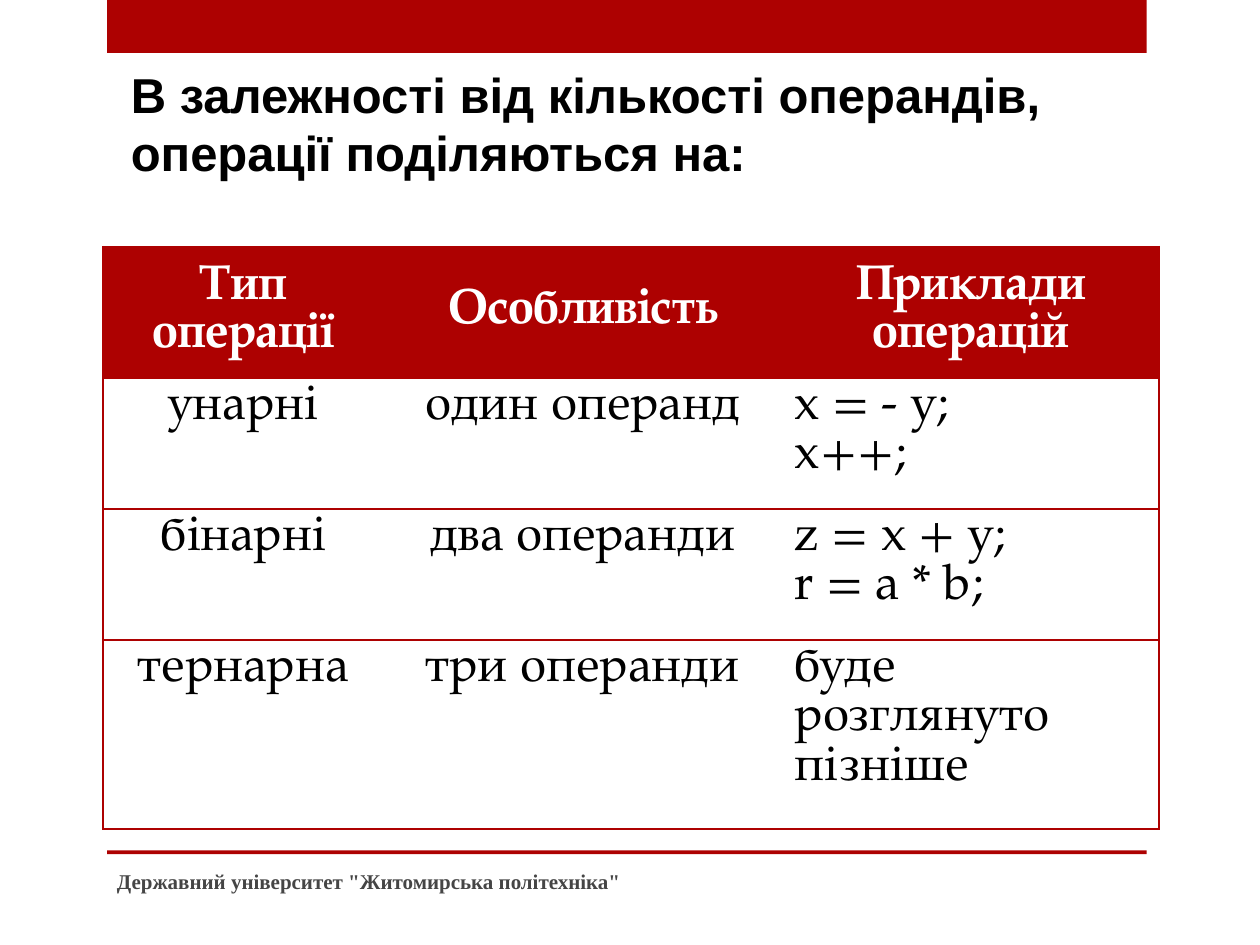
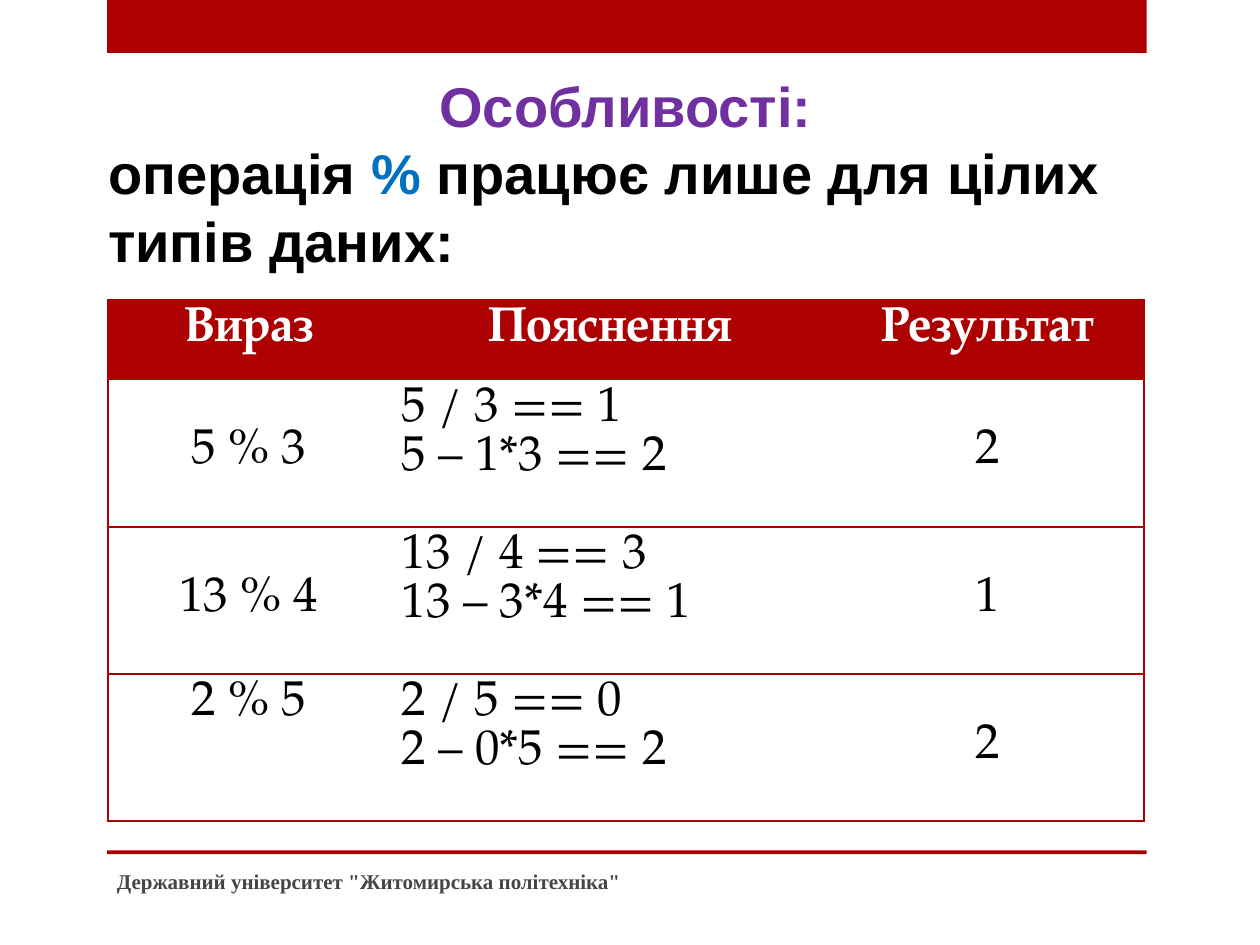
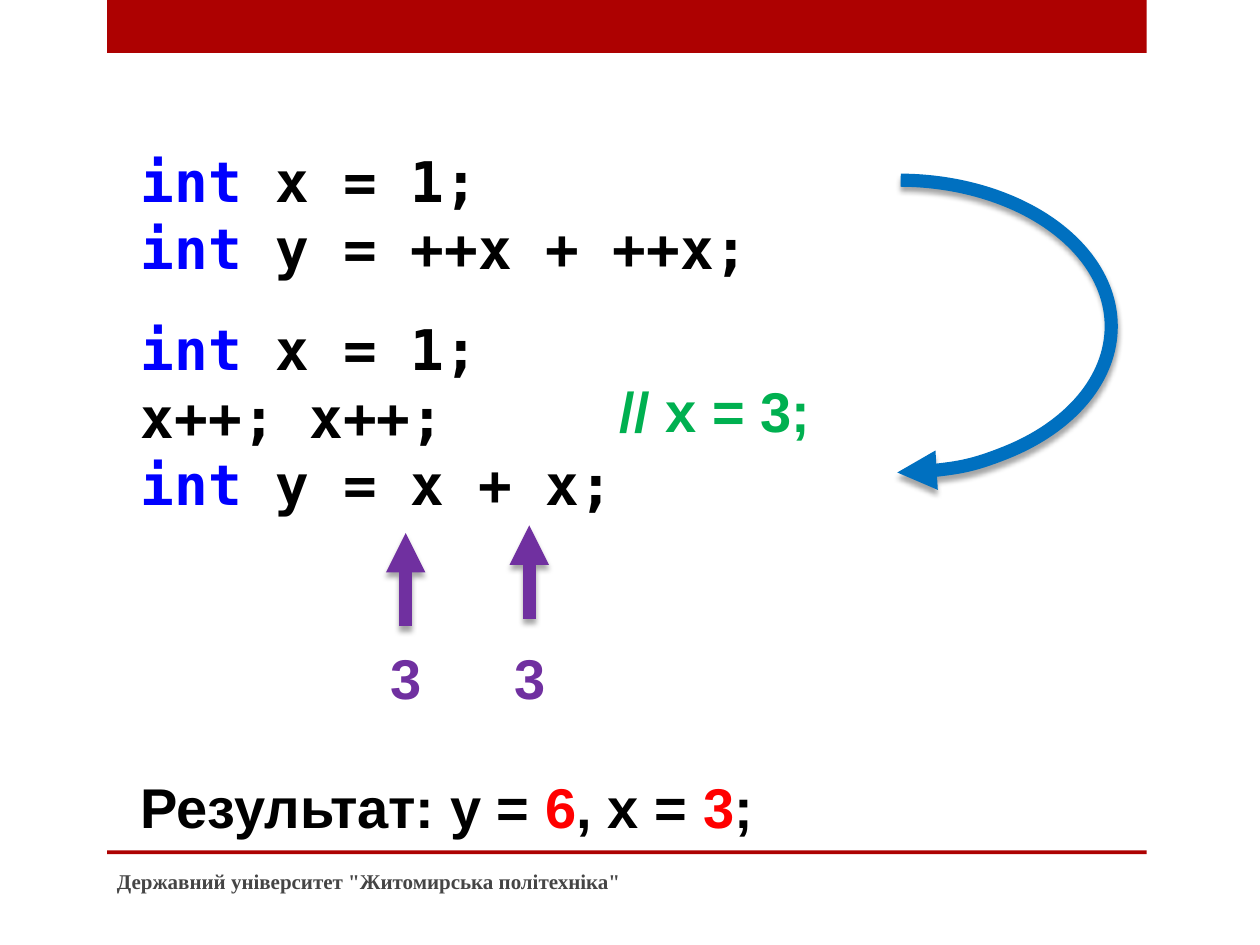
from dataclasses import dataclass
from typing import NamedTuple, Optional, Sequence

import pptx
import pptx.dml.color
import pptx.enum.dml
import pptx.enum.shapes
import pptx.enum.text
import pptx.oxml
import pptx.oxml.ns
import pptx.util
from lxml import etree
from pptx.util import Inches

ALIGN = pptx.enum.text.PP_ALIGN
ANCHOR = pptx.enum.text.MSO_ANCHOR
SHAPE = pptx.enum.shapes.MSO_SHAPE


@dataclass(frozen=True)
class Theme:
    red: str = "AD0101"
    black: str = "000000"
    white: str = "FFFFFF"
    grey: str = "454545"
    purple: str = "7030A0"
    blue: str = "0070C0"
    green: str = "00B050"
    keyword: str = "0000FF"
    answer: str = "FF0000"
    sans: str = "Arial"
    mono: str = "DejaVu Sans Mono"
    table_font: str = "TeX Gyre Pagella"
    footer_font: str = "Times New Roman"
    footer_size: float = 12
    medium_size: float = 28
    large_size: float = 32
    border: float = 1.25
    arrow: float = 7.5


THEME = Theme()


class Area(NamedTuple):
    left: float
    top: float
    width: float
    height: float


class Span(NamedTuple):
    text: str
    color: str = THEME.black


class Style(NamedTuple):
    font: str
    size: float
    bold: bool = True


class Line(NamedTuple):
    spans: Sequence[Span]
    align: Optional[int] = None
    spacing: Optional[float] = None


class Cell(NamedTuple):
    lines: Sequence[str]
    centered: bool = True
    middle: bool = False


class TableSpec(NamedTuple):
    left: float
    top: float
    columns: Sequence[float]
    heights: Sequence[float]
    rows: Sequence[Sequence[Cell]]


TITLE = Style(THEME.sans, THEME.medium_size)
LARGE = Style(THEME.sans, THEME.large_size)
CODE = Style(THEME.mono, THEME.large_size)
FOOTER = Style(THEME.footer_font, THEME.footer_size)
TABLE_HEAD = Style(THEME.table_font, THEME.medium_size)
TABLE_BODY = TABLE_HEAD._replace(bold=False)


def rgb(color: str) -> pptx.dml.color.RGBColor:
    return pptx.dml.color.RGBColor.from_string(color)


def inches(area: Area) -> list:
    return [Inches(length) for length in area]


def write(frame, lines: Sequence[Line], style: Style) -> None:
    for index, line in enumerate(lines):
        para = frame.paragraphs[0] if index == 0 else frame.add_paragraph()
        para.alignment = line.align
        para.line_spacing = line.spacing
        for span in line.spans:
            run = para.add_run()
            run.text = span.text
            run.font.name = style.font
            run.font.size = pptx.util.Pt(style.size)
            run.font.bold = style.bold
            run.font.color.rgb = rgb(span.color)


def add_text(page, area: Area, lines: Sequence[Line], style: Style, wrap: bool = True,
             fill: Optional[str] = None, anchor=ANCHOR.TOP) -> None:
    box = page.shapes.add_textbox(*inches(area))
    if fill:
        box.fill.solid()
        box.fill.fore_color.rgb = rgb(fill)
    box.text_frame.word_wrap = wrap
    box.text_frame.vertical_anchor = anchor
    write(box.text_frame, lines, style)


def add_band(page, area: Area) -> None:
    band = page.shapes.add_shape(SHAPE.RECTANGLE, *inches(area))
    band.shadow.inherit = False
    band.fill.solid()
    band.fill.fore_color.rgb = rgb(THEME.red)
    band.line.fill.background()


def add_page(deck):
    """Add a blank slide with the shared red bands."""
    page = deck.slides.add_slide(deck.slide_layouts[6])
    add_band(page, Area(0.85, 0, 8.25, 0.42))
    add_band(page, Area(0.85, 6.75, 8.25, 0.03))
    return page


def add_footer(page) -> None:
    name = Span('Державний університет "Житомирська політехніка"', THEME.grey)
    add_text(page, Area(0.83, 6.79, 5.33, 0.4), [Line([name])], FOOTER, anchor=ANCHOR.MIDDLE)


def set_border(cell, side: str, shown: bool) -> None:
    qn = pptx.oxml.ns.qn
    width = pptx.util.Pt(THEME.border)
    border = etree.SubElement(cell._tc.get_or_add_tcPr(), qn(f"a:ln{side}"), w=str(width))
    paint = etree.SubElement(border, qn("a:solidFill" if shown else "a:noFill"))
    if shown:
        etree.SubElement(paint, qn("a:srgbClr"), val=THEME.red)


def add_grid(page, spec: TableSpec) -> None:
    """Add a table with a red header and horizontal rules inside a red frame."""
    area = Area(spec.left, spec.top, sum(spec.columns), sum(spec.heights))
    table = page.shapes.add_table(len(spec.rows), len(spec.columns), *inches(area)).table
    table.first_row = table.horz_banding = False
    for column, width in zip(table.columns, spec.columns):
        column.width = Inches(width)
    for row, height in zip(table.rows, spec.heights):
        row.height = Inches(height)
    last = len(spec.columns) - 1
    for row_index, row in enumerate(spec.rows):
        header = row_index == 0
        for column_index, content in enumerate(row):
            cell = table.cell(row_index, column_index)
            set_border(cell, "L", column_index == 0)
            set_border(cell, "R", column_index == last)
            set_border(cell, "T", True)
            set_border(cell, "B", True)
            if header:
                cell.fill.solid()
                cell.fill.fore_color.rgb = rgb(THEME.red)
            else:
                cell.fill.background()
            cell.vertical_anchor = ANCHOR.MIDDLE if content.middle else ANCHOR.TOP
            color = THEME.white if header else THEME.black
            align = ALIGN.CENTER if content.centered else ALIGN.LEFT
            lines = [Line([Span(text, color)], align) for text in content.lines]
            write(cell.text_frame, lines, TABLE_HEAD if header else TABLE_BODY)


def style_arrow(shape, color: str) -> None:
    """Give a thick line an arrowhead at its end and a soft shadow below."""
    shape.line.color.rgb = rgb(color)
    shape.line.width = pptx.util.Pt(THEME.arrow)
    outline = shape.line._get_or_add_ln()
    etree.SubElement(outline, pptx.oxml.ns.qn("a:tailEnd"), type="triangle")
    offset = pptx.util.Pt(3)
    shape._element.spPr.append(pptx.oxml.parse_xml(
        f'<a:effectLst {pptx.oxml.ns.nsdecls("a")}>'
        f'<a:outerShdw blurRad="{offset}" dist="{offset}" dir="5400000" rotWithShape="0">'
        f'<a:srgbClr val="{THEME.black}"><a:alpha val="35000"/></a:srgbClr>'
        '</a:outerShdw></a:effectLst>'))


def add_up_arrow(page, x: float, bottom: float, top: float) -> None:
    arrow = page.shapes.add_connector(
        pptx.enum.shapes.MSO_CONNECTOR.STRAIGHT,
        Inches(x), Inches(bottom), Inches(x), Inches(top))
    style_arrow(arrow, THEME.purple)


def add_return_arc(page) -> None:
    arc = page.shapes.add_shape(SHAPE.ARC, *inches(Area(5.45, 1.43, 3.37, 2.32)))
    for index, degrees in enumerate((270.7, 90.65)):
        arc.adjustments[index] = degrees * 0.6
    arc.fill.background()
    style_arrow(arc, THEME.blue)


def add_label(page, area: Area, text: str, color: str) -> None:
    line = Line([Span(text, color)], ALIGN.CENTER, 0.8)
    add_text(page, area, [line], LARGE, wrap=False, fill=THEME.white)


def declaration(rest: str) -> Line:
    return Line([Span("int", THEME.keyword), Span(rest)])


def build_operand_page(deck) -> None:
    page = add_page(deck)
    title = ("В залежності від кількості операндів,", "операції поділяються на:")
    add_text(page, Area(0.94, 0.46, 7.61, 1.65), [Line([Span(text)]) for text in title],
             TITLE, wrap=False)
    heads = ("Тип операції", "Особливість", "Приклади операцій")
    kinds = (
        ("унарні", "один операнд", ("x = - y;", "x++;")),
        ("бінарні", "два операнди", ("z = x + y;", "r = a * b;")),
        ("тернарна", "три операнди", ("буде розглянуто пізніше",)),
    )
    rows = [[Cell([head], middle=True) for head in heads]]
    rows += [[Cell([kind]), Cell([feature]), Cell(examples, centered=False)]
             for kind, feature, examples in kinds]
    add_grid(page, TableSpec(0.82, 1.96, (2.22, 3.17, 2.99), (1.04, 1.04, 1.04, 1.5), rows))
    add_footer(page)


def build_remainder_page(deck) -> None:
    page = add_page(deck)
    add_text(page, Area(0.76, 0.52, 8.41, 1.72), [
        Line([Span("Особливості:", THEME.purple)], ALIGN.CENTER),
        Line([Span("операція "), Span("%", THEME.blue),
              Span(" працює лише для цілих типів даних:")]),
    ], LARGE)
    examples = (
        (Cell(["5 % 3"], middle=True), ("5 / 3 == 1", "5 – 1*3 == 2"), "2"),
        (Cell(["13 % 4"], middle=True), ("13 / 4 == 3", "13 – 3*4 == 1"), "1"),
        (Cell(["2 % 5"]), ("2 / 5 == 0", "2 – 0*5 == 2"), "2"),
    )
    rows = [[Cell([head]) for head in ("Вираз", "Пояснення", "Результат")]]
    rows += [[expression, Cell(steps, centered=False), Cell([result], middle=True)]
             for expression, steps, result in examples]
    add_grid(page, TableSpec(0.86, 2.38, (2.23, 3.51, 2.48), (0.63, 1.17, 1.17, 1.17), rows))
    add_footer(page)


def build_increment_page(deck) -> None:
    page = add_page(deck)
    add_text(page, Area(1.02, 1.11, 6.13, 1.18),
             [declaration(" x = 1;"), declaration(" y = ++x + ++x;")], CODE, fill=THEME.white)
    add_text(page, Area(1.02, 2.45, 6.13, 1.72),
             [declaration(" x = 1;"), Line([Span("x++; x++;")]), declaration(" y = x + x;")],
             CODE, fill=THEME.white)
    add_return_arc(page)
    for x, bottom, top in ((4.2, 4.91, 4.17), (3.22, 4.97, 4.23)):
        add_label(page, Area(x - 0.22, 5.16, 0.45, 0.53), "3", THEME.purple)
        add_up_arrow(page, x, bottom, top)
    add_label(page, Area(4.81, 3.04, 1.73, 0.53), "// x = 3;", THEME.green)
    result = [Span("Результат: y = "), Span("6", THEME.answer), Span(", x = "),
              Span("3", THEME.answer), Span(";")]
    add_text(page, Area(1.02, 6.08, 6.13, 0.64), [Line(result)], LARGE)
    add_footer(page)


def main() -> None:
    deck = pptx.Presentation()
    deck.slide_width, deck.slide_height = Inches(10), Inches(7.5)
    build_operand_page(deck)
    build_remainder_page(deck)
    build_increment_page(deck)
    deck.save("out.pptx")


if __name__ == "__main__":
    main()
